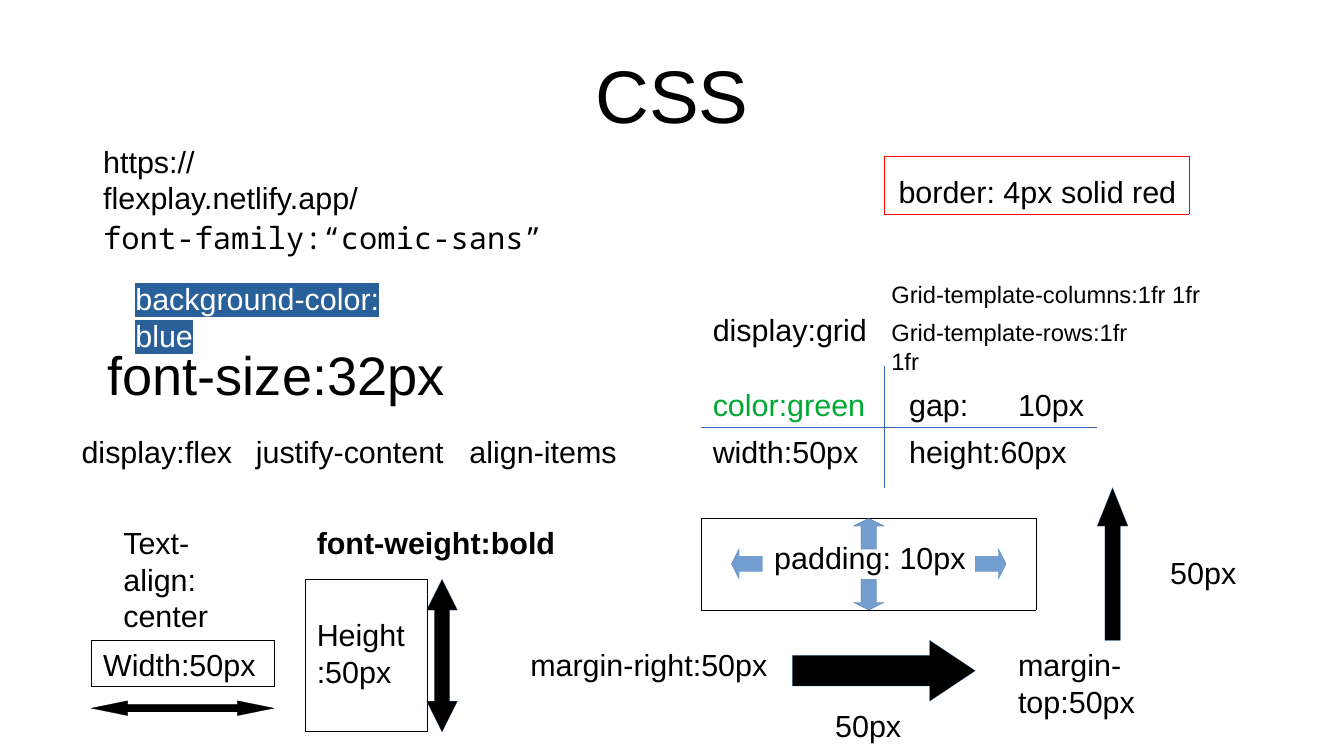
"""Build the CSS properties overview slide."""
from lxml import etree
from pptx import Presentation, util as u
from pptx.dml.color import RGBColor
from pptx.enum import shapes, text
from pptx.oxml import ns

BLACK = RGBColor(0x00, 0x00, 0x00)
WHITE = RGBColor(0xFF, 0xFF, 0xFF)
RED = RGBColor(0xFF, 0x00, 0x00)
GREEN = RGBColor(0x00, 0xA9, 0x33)
BLUE = RGBColor(0x34, 0x65, 0xA4)
LIGHT_BLUE = RGBColor(0x72, 0x9F, 0xCF)
DARK_BLUE = RGBColor(0x2A, 0x60, 0x99)
ARROW = shapes.MSO_SHAPE


class Sketch:
    def __init__(self, slide, font="Arial", size=18, hairline=0.1):
        self.s, self.font, self.size, self.hairline = slide, font, size, hairline

    def label(self, words, x, y, w, h=0.97, size=None, font=None, color=BLACK,
              bold=None, highlight=None, tab=None):
        sp = self.s.shapes.add_textbox(u.Cm(x), u.Cm(y), u.Cm(w), u.Cm(h))
        tf = sp.text_frame
        tf.word_wrap = True
        tf.text = words
        for p in tf.paragraphs:
            if tab:
                tabs = etree.SubElement(p._p.get_or_add_pPr(), ns.qn("a:tabLst"))
                etree.SubElement(tabs, ns.qn("a:tab"), pos=str(u.Cm(tab)), algn="l")
            p.font.name = font or self.font
            p.font.size = u.Pt(size or self.size)
            p.font.color.rgb = color
            p.font.bold = bold
            if highlight:
                rPr = p.runs[0]._r.get_or_add_rPr()
                mark = etree.SubElement(rPr, ns.qn("a:highlight"))
                etree.SubElement(mark, ns.qn("a:srgbClr"), val=str(highlight))
        return tf

    def title(self, words, x, y, w, h):
        tf = self.label(words, x, y, w, h, size=44)
        tf.margin_left = tf.margin_right = tf.margin_top = tf.margin_bottom = 0
        tf.vertical_anchor = text.MSO_ANCHOR.MIDDLE
        tf.paragraphs[0].alignment = text.PP_ALIGN.CENTER

    def line(self, x1, y1, x2, y2, color):
        sp = self.s.shapes.add_connector(
            shapes.MSO_CONNECTOR.STRAIGHT, u.Cm(x1), u.Cm(y1), u.Cm(x2), u.Cm(y2))
        sp.line.color.rgb = color
        sp.line.width = u.Pt(self.hairline)
        etree.SubElement(sp._element.spPr, ns.qn("a:effectLst"))

    def frame(self, left, top, right, bottom, color=BLACK):
        corners = [(left, top), (right, top), (right, bottom), (left, bottom)]
        for start, end in zip(corners, corners[1:] + corners[:1]):
            self.line(*start, *end, color)

    def arrow(self, kind, x, y, w, h, head, fill=BLACK, outline=BLUE):
        sp = self.s.shapes.add_shape(kind, u.Cm(x), u.Cm(y), u.Cm(w), u.Cm(h))
        sp.shadow.inherit = False
        guides = sp._element.spPr.find(ns.qn("a:prstGeom")).find(ns.qn("a:avLst"))
        guides.clear()
        for name, share in (("adj1", 0.5), ("adj2", head)):
            etree.SubElement(guides, ns.qn("a:gd"), name=name,
                             fmla=f"val {round(share * 100000)}")
        sp.fill.solid()
        sp.fill.fore_color.rgb = fill
        sp.line.color.rgb = outline
        sp.line.width = u.Pt(self.hairline)


def main():
    prs = Presentation()
    prs.slide_width, prs.slide_height = u.Cm(28), u.Cm(15.75)
    sketch = Sketch(prs.slides.add_slide(prs.slide_layouts[6]))

    sketch.title("CSS", 1.4, 0.64, 25.2, 2.63)
    sketch.label("https://flexplay.netlify.app/", 1.9, 2.85, 7.5, 1.68)
    sketch.label("font-family:“comic-sans”", 1.9, 4.43, 9.7, 1.1, font="Noto Sans Mono")
    sketch.label("background-color: blue", 2.57, 5.72, 6.9, 1.68,
                 color=WHITE, highlight=DARK_BLUE)
    sketch.label("font-size:32px", 1.99, 6.99, 7.6, 1.52, size=32)
    for words, x, w in (("display:flex", 1.45, 3.7), ("justify-content", 5.08, 4.5),
                        ("align-items", 9.53, 3.65)):
        sketch.label(words, x, 8.89, w)

    sketch.label("Text-align:\ncenter", 2.32, 10.8, 3.2, 2.39)
    sketch.label("font-weight:bold", 6.35, 10.8, 5.5, bold=True)
    sketch.label("Width:50px", 1.9, 13.34, 3.75)
    sketch.frame(1.9, 13.34, 5.72, 14.3)
    sketch.arrow(ARROW.LEFT_RIGHT_ARROW, 1.9, 14.6, 3.81, 0.31, 2.46, outline=BLACK)
    sketch.label("Height\n:50px", 6.35, 12.72, 2.4, 2.39)
    sketch.frame(6.35, 12.07, 8.89, 15.24)
    sketch.arrow(ARROW.UP_DOWN_ARROW, 8.89, 12.07, 0.64, 3.18, 1)

    sketch.label("border: 4px solid red", 18.47, 3.48, 6.35)
    sketch.frame(18.42, 3.25, 24.77, 4.45, RED)

    sketch.label("display:grid", 14.6, 6.35, 3.75)
    sketch.label("Grid-template-columns:1fr 1fr", 18.32, 5.7, 7, 0.81, size=14)
    sketch.label("Grid-template-rows:1fr 1fr", 18.32, 6.5, 6.14, 1.37, size=14)
    sketch.label("color:green", 14.6, 7.92, 3.75, color=GREEN)
    sketch.label("gap:\t10px", 18.69, 7.92, 4.3, tab=2.27)
    sketch.label("width:50px", 14.6, 8.89, 3.6)
    sketch.label("height:60px", 18.69, 8.89, 3.85)
    sketch.line(14.6, 8.89, 22.86, 8.89, BLUE)
    sketch.line(18.42, 7.62, 18.42, 10.16, BLUE)

    sketch.label("padding: 10px", 15.88, 11.1, 4.55)
    sketch.frame(14.6, 10.8, 21.59, 12.7)
    for kind, x, y in ((ARROW.RIGHT_ARROW, 20.32, 11.43), (ARROW.LEFT_ARROW, 15.24, 11.43),
                       (ARROW.UP_ARROW, 17.78, 10.8), (ARROW.DOWN_ARROW, 17.78, 12.07)):
        sketch.arrow(kind, x, y, 0.64, 0.64, 0.25, fill=LIGHT_BLUE)

    sketch.label("margin-right:50px", 10.8, 13.34, 5.5)
    sketch.arrow(ARROW.RIGHT_ARROW, 16.51, 13.34, 3.81, 1.27, 0.75)
    sketch.label("50px", 17.15, 14.6, 1.9)
    sketch.label("margin-top:50px", 20.96, 13.34, 5, 1.68)
    sketch.arrow(ARROW.UP_ARROW, 22.86, 10.16, 0.64, 3.18, 1.25)
    sketch.label("50px", 24.13, 11.42, 1.9)

    prs.save("out.pptx")


if __name__ == "__main__":
    main()
